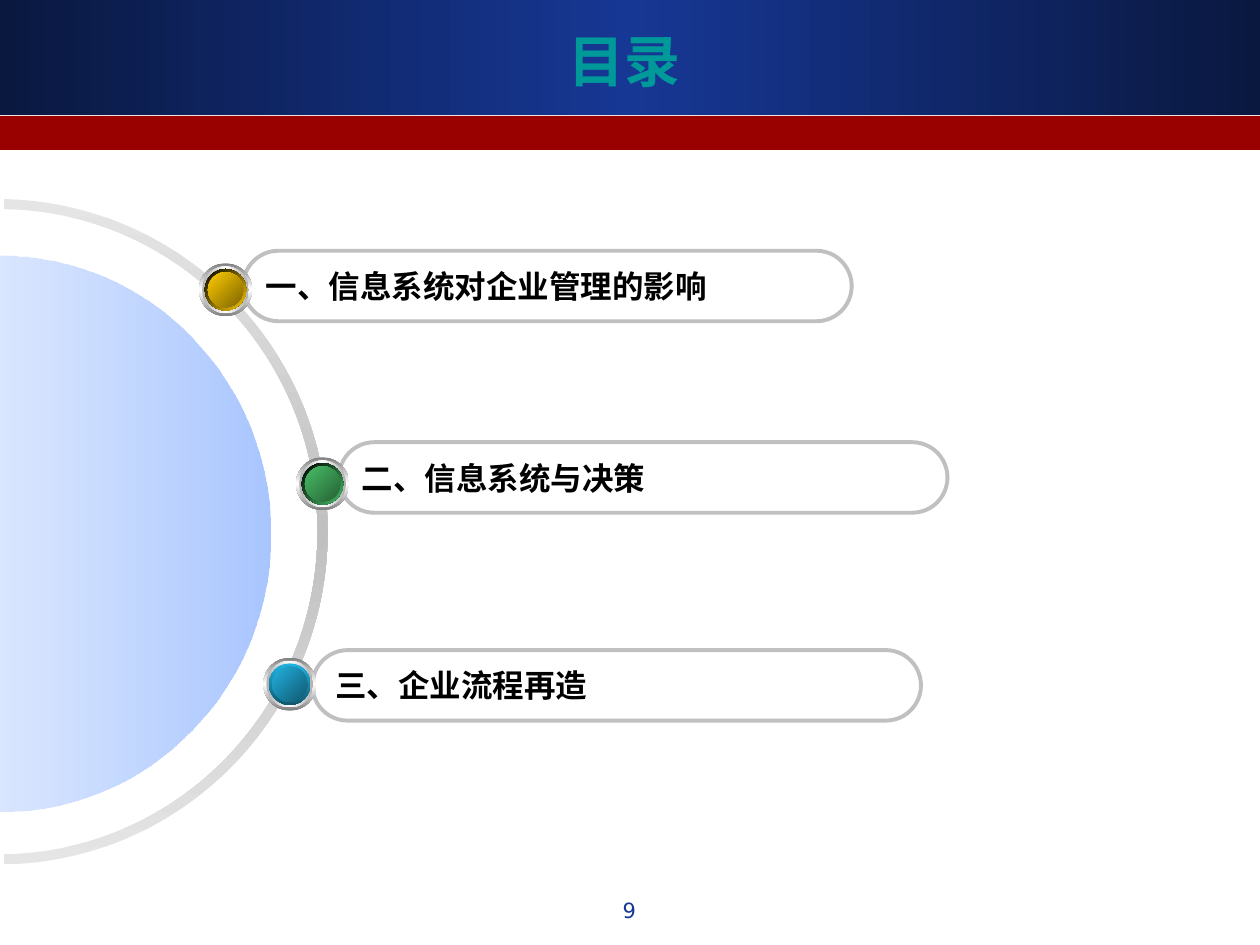
from lxml import etree
from pptx import Presentation
from pptx.dml.color import RGBColor
from pptx.enum.shapes import MSO_SHAPE
from pptx.enum.text import MSO_ANCHOR, PP_ALIGN
from pptx.oxml.ns import qn
from pptx.util import Inches, Pt

RECTANGLE, PILL, CIRCLE = MSO_SHAPE.RECTANGLE, MSO_SHAPE.ROUNDED_RECTANGLE, MSO_SHAPE.OVAL
LEFT, CENTER, MIDDLE = PP_ALIGN.LEFT, PP_ALIGN.CENTER, MSO_ANCHOR.MIDDLE
LATIN_FONT, CHINESE_FONT = "DejaVu Sans", "Noto Sans CJK SC"

BLACK = RGBColor(0x00, 0x00, 0x00)
WHITE = RGBColor(0xFF, 0xFF, 0xFF)
NAVY = RGBColor(0x0A, 0x18, 0x40)
BLUE = RGBColor(0x16, 0x37, 0x94)
RED = RGBColor(0x99, 0x00, 0x00)
TEAL = RGBColor(0x00, 0x99, 0x99)
SILVER = RGBColor(0xC0, 0xC0, 0xC0)
PALE_GRAY = RGBColor(0xE5, 0xE5, 0xE5)
RIM_GRAY = RGBColor(0x80, 0x80, 0x80)
BEVEL_GRAY = RGBColor(0xB0, 0xB0, 0xB0)
SKY_BLUE = RGBColor(0x66, 0x99, 0xFF)
GOLD, DARK_GOLD = RGBColor(0xFF, 0xCC, 0x00), RGBColor(0x7E, 0x65, 0x00)
GREEN, DARK_GREEN = RGBColor(0x48, 0xBE, 0x67), RGBColor(0x26, 0x62, 0x35)
CYAN, DARK_CYAN = RGBColor(0x21, 0xB3, 0xE1), RGBColor(0x11, 0x58, 0x70)

# Content: text, pill left and top, knob centre, (socket colours, angle), face colours
TITLE = "目录"
PAGE_NUMBER = "9"
TOPICS = [
    ("一、信息系统对企业管理的影响", (1.93, 1.99), (1.79, 2.3),
     ((BLACK, GOLD), 45), (GOLD, DARK_GOLD)),
    ("二、信息系统与决策", (2.69, 3.51), (2.56, 3.84),
     ((BLACK, GREEN), 45), (GREEN, DARK_GREEN)),
    ("三、企业流程再造", (2.48, 5.16), (2.3, 5.43),
     ((CYAN, DARK_CYAN), 90), (CYAN, DARK_CYAN)),
]
PILL_SIZE = (4.83, 0.56)

# Half outlines on the slide, in frames turned by a quarter
RING_FRAME = (-2.65, 1.61, 5.28, 5.22)
RING_PATH = [
    ("moveTo", [(0.03, 1.66)]),
    ("cubicBezTo", [(1.41, 1.68), (2.52, 2.82), (2.52, 4.22)]),
    ("cubicBezTo", [(2.52, 5.62), (1.41, 6.76), (0.03, 6.78)]),
    ("lnTo", [(0.03, 6.86)]),
    ("cubicBezTo", [(1.45, 6.84), (2.6, 5.66), (2.6, 4.22)]),
    ("cubicBezTo", [(2.6, 2.78), (1.45, 1.61), (0.03, 1.58)]),
    ("close", []),
]
DISC_FRAME = (-2.21, 2.09, 4.41, 4.3)
DISC_PATH = [
    ("moveTo", [(0, 2.03)]),
    ("cubicBezTo", [(1.19, 2.03), (2.15, 3.02), (2.15, 4.24)]),
    ("cubicBezTo", [(2.15, 5.46), (1.19, 6.44), (0, 6.44)]),
    ("close", []),
]


def fill_gradient(shape, colors, angle, opacities=None):
    """Spread the colours evenly; the angle runs clockwise from left-to-right."""
    shape.fill.gradient()
    gradient = shape.element.spPr.find(qn("a:gradFill"))
    stops = gradient.find(qn("a:gsLst"))
    for stop in list(stops):
        stops.remove(stop)
    for index, color in enumerate(colors):
        position = 100000 * index // (len(colors) - 1)
        stop = etree.SubElement(stops, qn("a:gs"), pos=str(position))
        value = etree.SubElement(stop, qn("a:srgbClr"), val=str(color))
        if opacities:
            etree.SubElement(value, qn("a:alpha"), val=str(opacities[index] * 1000))
    gradient.find(qn("a:lin")).set("ang", str(angle * 60000))


def add_plain_shape(shapes, kind, left, top, width, height):
    shape = shapes.add_shape(kind, Inches(left), Inches(top), Inches(width), Inches(height))
    shape.shadow.inherit = False
    shape.line.fill.background()
    return shape


def write_text(shape, text, size, color, latin, bold=False, align=LEFT):
    paragraph = shape.text_frame.paragraphs[0]
    paragraph.alignment = align
    run = paragraph.add_run()
    run.text = text
    font = run.font
    font.size, font.bold, font.name = Pt(size), bold, latin
    font.color.rgb = color
    east_asian = etree.SubElement(font._element, qn("a:ea"))
    east_asian.set("typeface", CHINESE_FONT)


def add_curved_outline(shapes, frame, commands):
    """Draw slide coordinates inside a frame rotated by 90 degrees."""
    left, top, width, height = frame
    center_x, center_y = left + width / 2, top + height / 2
    builder = shapes.build_freeform(Inches(left), Inches(top))
    builder.add_line_segments([(Inches(left + width), Inches(top + height))])
    shape = builder.convert_to_shape()
    outline = shape.element.spPr.find(".//" + qn("a:path"))
    for part in list(outline):
        outline.remove(part)
    for command, points in commands:
        part = etree.SubElement(outline, qn("a:" + command))
        for x, y in points:
            etree.SubElement(part, qn("a:pt"),
                             x=str(Inches(width / 2 + y - center_y)),
                             y=str(Inches(height / 2 - x + center_x)))
    shape.rotation = 90
    shape.shadow.inherit = False
    shape.line.fill.background()
    return shape


def add_knob(shapes, center, socket, face):
    layers = [
        (0.42, (RIM_GRAY, WHITE, RIM_GRAY), 90),
        (0.37, (BEVEL_GRAY, WHITE, BEVEL_GRAY), 0),
        (0.33, *socket),
        (0.28, face, 45),
    ]
    group = shapes.add_group_shape()
    for size, colors, angle in layers:
        circle = add_plain_shape(group.shapes, CIRCLE, center[0] - size / 2,
                                 center[1] - size / 2, size, size)
        fill_gradient(circle, colors, angle)


def main():
    presentation = Presentation()
    presentation.slide_width, presentation.slide_height = Inches(10), Inches(7.5)
    slide = presentation.slides.add_slide(presentation.slide_layouts[5])
    shapes = slide.shapes

    # Header bands, behind the title
    title = shapes.title
    header = add_plain_shape(shapes, RECTANGLE, 0, 0, 10, 0.91)
    fill_gradient(header, (NAVY, BLUE, NAVY), 0)
    stripe = add_plain_shape(shapes, RECTANGLE, 0, 0.92, 10, 0.27)
    stripe.fill.solid()
    stripe.fill.fore_color.rgb = RED
    for band in (header, stripe):
        title.element.addprevious(band.element)

    title.left, title.top = Inches(0.33), Inches(0.17)
    title.width, title.height = Inches(9.25), Inches(0.62)
    title.text_frame.vertical_anchor = MIDDLE
    write_text(title, TITLE, 32, TEAL, LATIN_FONT, bold=True, align=CENTER)

    # Half ring and half disc
    ring = add_curved_outline(shapes, RING_FRAME, RING_PATH)
    fill_gradient(ring, (PALE_GRAY, SILVER, PALE_GRAY), 0)
    disc = add_curved_outline(shapes, DISC_FRAME, DISC_PATH)
    fill_gradient(disc, (SKY_BLUE, WHITE), 90, opacities=(56, 48))

    # Topic pills, then the knobs over them
    for text, position, *_ in reversed(TOPICS):
        pill = add_plain_shape(shapes, PILL, *position, *PILL_SIZE)
        pill.adjustments[0] = 0.5
        pill.fill.background()
        pill.line.color.rgb = SILVER
        pill.line.width = Pt(2.25)
        pill.text_frame.word_wrap = True
        pill.text_frame.vertical_anchor = MIDDLE
        write_text(pill, text, 18, BLACK, CHINESE_FONT, bold=True)
    for _, _, center, socket, face in TOPICS:
        add_knob(shapes, center, socket, face)

    # Page number
    number = shapes.add_textbox(Inches(3.83), Inches(7.07), Inches(2.33), Inches(0.35))
    number.text_frame.word_wrap = True
    write_text(number, PAGE_NUMBER, 12, BLUE, LATIN_FONT, align=CENTER)

    presentation.save("out.pptx")


if __name__ == "__main__":
    main()
